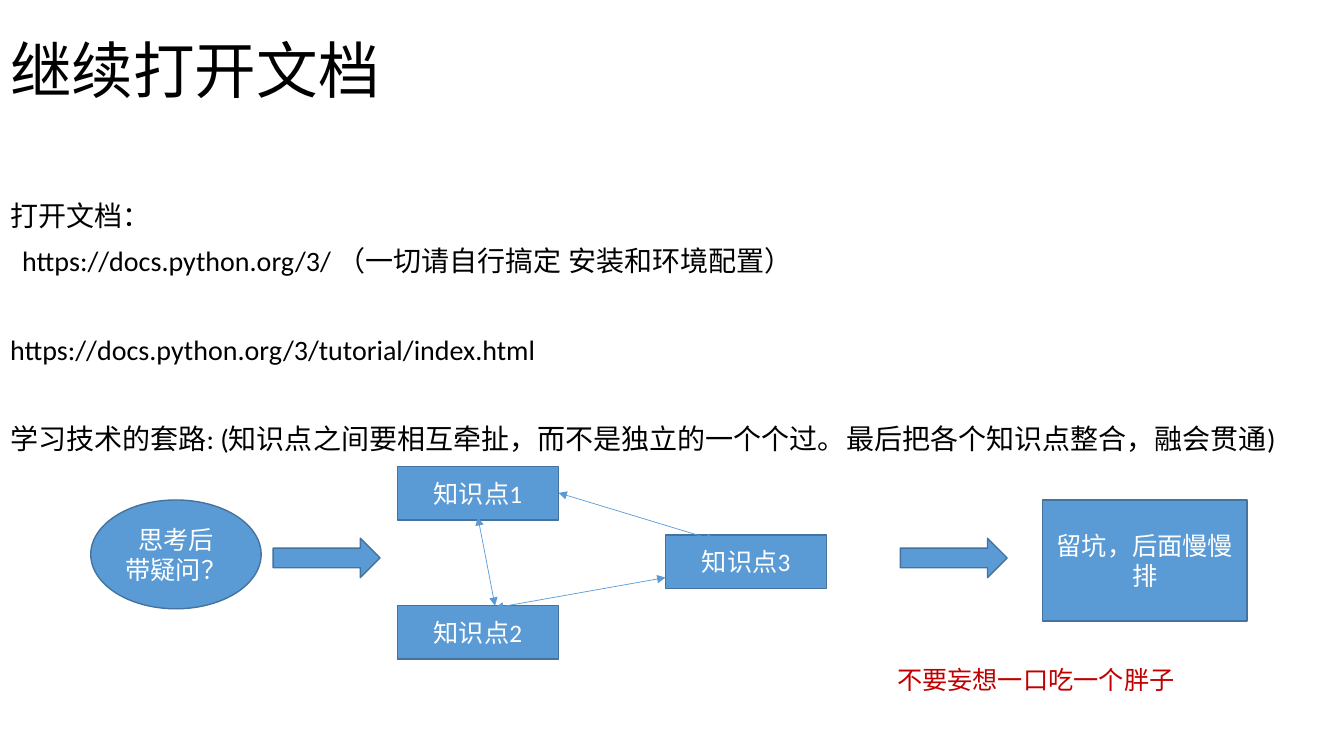
from dataclasses import dataclass

from lxml.etree import SubElement
from pptx import Presentation
from pptx.dml.color import RGBColor
from pptx.enum.shapes import MSO_CONNECTOR as LINE, MSO_SHAPE as SHAPE
from pptx.enum.text import MSO_ANCHOR as ANCHOR, MSO_AUTO_SIZE as FIT, PP_ALIGN as ALIGN
from pptx.oxml.ns import qn
from pptx.util import Inches, Pt


@dataclass(frozen=True)
class Theme:
    font: str = "Calibri"
    black: str = "000000"
    white: str = "FFFFFF"
    red: str = "C00000"
    blue: str = "5B9BD5"
    edge: str = "43739E"
    title: int = 44
    body: int = 20
    label: int = 18


theme = Theme()


def rgb(value):
    return RGBColor.from_string(value)


def write(frame, text, size=theme.label, color=theme.white, align=ALIGN.CENTER,
          anchor=ANCHOR.MIDDLE, new=False, before=0, spacing=1.0, indent=0):
    """Write one paragraph; new=True adds it after the existing ones."""
    frame.word_wrap = True
    frame.auto_size = FIT.NONE
    frame.vertical_anchor = anchor
    paragraph = frame.add_paragraph() if new else frame.paragraphs[0]
    paragraph.text = text
    paragraph.alignment = align
    paragraph.space_before = Pt(before)
    paragraph.line_spacing = spacing
    paragraph.font.size = Pt(size)
    paragraph.font.name = theme.font
    paragraph.font.color.rgb = rgb(color)
    properties = paragraph._p.get_or_add_pPr()
    properties.set("marL", str(Inches(indent)))
    properties.set("indent", "0")
    SubElement(properties, qn("a:buNone"))
    # Schema order puts the bullet setting ahead of the default run format
    properties.append(properties.find(qn("a:defRPr")))


deck = Presentation()
deck.slide_width, deck.slide_height = Inches(13.33), Inches(7.5)
slide = deck.slides.add_slide(deck.slide_layouts[1])
shapes = slide.shapes

# Title
heading = shapes.title
heading.left, heading.top, heading.width, heading.height = map(Inches, (0, 0, 11.5, 1.45))
write(heading.text_frame, "继续打开文档", size=theme.title, color=theme.black,
      align=ALIGN.LEFT, spacing=0.9)

# Documentation links and study routine
guide = slide.placeholders[1]
guide.left, guide.top, guide.width, guide.height = map(Inches, (0, 1.07, 13.19, 6.43))
guide.text_frame.margin_top = Inches(0.94)
guide_lines = [
    ("打开文档：", 0, 0),
    ("https://docs.python.org/3/ （一切请自行搞定 安装和环境配置）", 10, 0.12),
    ("https://docs.python.org/3/tutorial/index.html", 42, 0),
    ("学习技术的套路: (知识点之间要相互牵扯，而不是独立的一个个过。最后把各个知识点整合，融会贯通)", 42, 0),
]
for number, (text, before, indent) in enumerate(guide_lines):
    write(guide.text_frame, text, size=theme.body, color=theme.black, align=ALIGN.LEFT,
          anchor=ANCHOR.TOP, new=number > 0, before=before, spacing=0.9, indent=indent)

# Learning steps and the arrows between them
steps = [
    (SHAPE.OVAL, 0.9, 4.96, 1.69, 1.08, "思考后\v带疑问？"),
    (SHAPE.RECTANGLE, 3.94, 4.63, 1.6, 0.53, "知识点1"),
    (SHAPE.RECTANGLE, 3.94, 6.01, 1.6, 0.53, "知识点2"),
    (SHAPE.RECTANGLE, 6.6, 5.31, 1.6, 0.53, "知识点3"),
    (SHAPE.RIGHT_ARROW, 2.71, 5.34, 1.06, 0.39, ""),
    (SHAPE.RIGHT_ARROW, 8.93, 5.34, 1.06, 0.39, ""),
    (SHAPE.RECTANGLE, 10.34, 4.96, 2.03, 1.2, "留坑，后面慢慢排"),
]
for kind, left, top, width, height, label in steps:
    step = shapes.add_shape(kind, *map(Inches, (left, top, width, height)))
    step.shadow.inherit = False
    step.fill.solid()
    step.fill.fore_color.rgb = rgb(theme.blue)
    step.line.color.rgb = rgb(theme.edge)
    step.line.width = Pt(1)
    if label:
        write(step.text_frame, label)
    if kind == SHAPE.OVAL:
        step.text_frame.margin_left = step.text_frame.margin_right = 0

# Two-way links between the knowledge points
for ends in [(5.54, 4.89, 7.09, 5.36), (6.6, 5.73, 4.91, 6.03), (4.74, 5.13, 4.91, 6.01)]:
    link = shapes.add_connector(LINE.STRAIGHT, *map(Inches, ends))
    link.line.color.rgb = rgb(theme.blue)
    link.line.width = Pt(0.5)
    for end in ("a:headEnd", "a:tailEnd"):
        SubElement(link.line._get_or_add_ln(), qn(end), type="triangle")
    SubElement(link._element.spPr, qn("a:effectLst"))

# Closing advice
advice = shapes.add_textbox(*map(Inches, (8.8, 6.54, 4.37, 0.4)))
write(advice.text_frame, "不要妄想一口吃一个胖子", color=theme.red, align=ALIGN.LEFT, anchor=ANCHOR.TOP)

deck.save("out.pptx")
